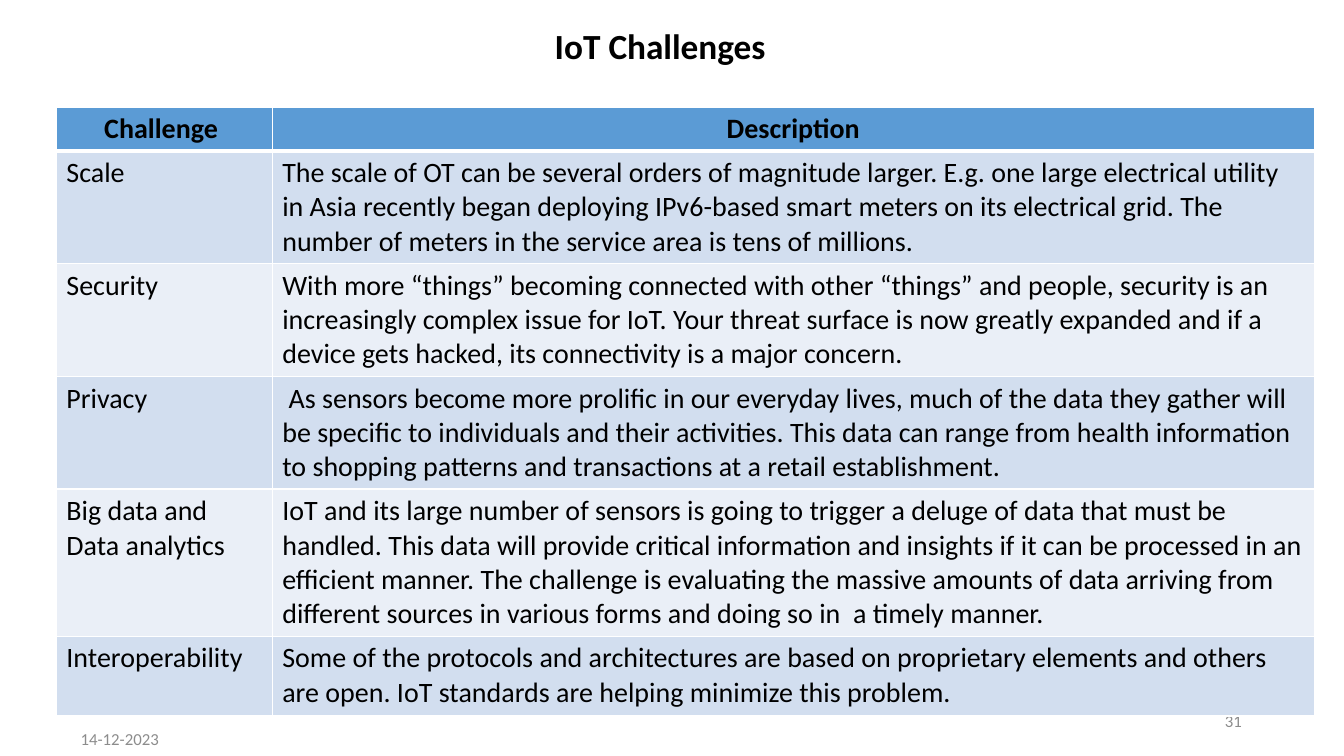
from lxml import etree
from pptx import Presentation
from pptx import util as u
from pptx.dml import color
from pptx.enum import text
from pptx.oxml import ns

COLORS = {
    "ink": "000000",
    "muted": "8C8C8C",
    "header": "5B9BD5",
    "odd": "D2DEEF",
    "even": "EAEFF7",
    "border": "FFFFFF",
}

CHALLENGES = [
    ("Challenge ", "Description"),
    ("Scale",
     "The scale of OT can be several orders of magnitude larger. E.g. one large electrical utility "
     "in Asia recently began deploying IPv6-based smart meters on its electrical grid. The number of "
     "meters in the service area is tens of millions."),
    ("Security",
     "With more “things” becoming connected with other “things” and people, security is an "
     "increasingly complex issue for IoT. Your threat surface is now greatly expanded and if a "
     "device gets hacked, its connectivity is a major concern."),
    ("Privacy",
     " As sensors become more prolific in our everyday lives, much of the data they gather will be "
     "specific to individuals and their activities. This data can range from health information to "
     "shopping patterns and transactions at a retail establishment."),
    ("Big data and Data analytics",
     "IoT and its large number of sensors is going to trigger a deluge of data that must be handled. "
     "This data will provide critical information and insights if it can be processed in an efficient "
     "manner. The challenge is evaluating the massive amounts of data arriving from different sources "
     "in various forms and doing so in  a timely manner."),
    ("Interoperability",
     "Some of the protocols and architectures are based on proprietary elements and others are open. "
     "IoT standards are helping minimize this problem."),
]
COLUMN_WIDTHS = [5.44, 26.26]
ROW_HEIGHTS = [1.1, 2.84, 2.84, 2.84, 3.71, 2.01]


class SlideBuilder:
    """Draws styled text and tables on the current slide."""

    def __init__(self, page, font_name="Calibri"):
        self.page = page
        self.font_name = font_name

    def fill_text(self, frame, content, size, ink="ink", bold=False,
                  align=text.PP_ALIGN.LEFT, spacing=1.0):
        para = frame.paragraphs[0]
        para.alignment = align
        para.line_spacing = spacing
        span = para.add_run()
        span.text = content
        for name, value in {"name": self.font_name, "size": u.Pt(size), "bold": bold}.items():
            setattr(span.font, name, value)
        span.font.color.rgb = color.RGBColor.from_string(COLORS[ink])

    def label(self, content, place, size, **style):
        box = self.page.shapes.add_textbox(*(u.Cm(length) for length in place))
        frame = box.text_frame
        layout = {
            "word_wrap": True,
            "vertical_anchor": text.MSO_ANCHOR.MIDDLE,
            "margin_top": 0,
            "margin_bottom": 0,
        }
        for name, value in layout.items():
            setattr(frame, name, value)
        self.fill_text(frame, content, size, **style)

    def borders(self, cell, top, bottom):
        properties = cell._tc.get_or_add_tcPr()
        for index, (side, width) in enumerate({"L": 1, "R": 1, "T": top, "B": bottom}.items()):
            line = etree.Element(ns.qn(f"a:ln{side}"), w=str(u.Pt(width)))
            fill = etree.SubElement(line, ns.qn("a:solidFill"))
            etree.SubElement(fill, ns.qn("a:srgbClr"), val=COLORS["border"])
            properties.insert(index, line)

    def table(self, records, left, top, widths, heights, size):
        place = (left, top, sum(widths), sum(heights))
        grid = self.page.shapes.add_table(
            len(records), len(widths), *(u.Cm(length) for length in place)).table
        for column, width in zip(grid.columns, widths):
            column.width = u.Cm(width)
        for index, (row, height, record) in enumerate(zip(grid.rows, heights, records)):
            row.height = u.Cm(height)
            heading = index == 0
            shade = "header" if heading else "odd" if index % 2 else "even"
            align = text.PP_ALIGN.CENTER if heading else text.PP_ALIGN.LEFT
            for cell, content in zip(row.cells, record):
                cell.fill.solid()
                cell.fill.fore_color.rgb = color.RGBColor.from_string(COLORS[shade])
                self.borders(cell, top=3 if index == 1 else 1, bottom=3 if heading else 1)
                self.fill_text(cell.text_frame, content, size, bold=heading, align=align)


def main():
    deck = Presentation()
    deck.slide_width, deck.slide_height = u.Cm(33.87), u.Cm(19.05)
    builder = SlideBuilder(deck.slides.add_slide(deck.slide_layouts[6]))
    builder.label("IoT Challenges ", (1.78, 0.76, 29.92, 0.89), 25.2,
                  bold=True, align=text.PP_ALIGN.CENTER, spacing=0.9)
    builder.label("14-12-2023", (1.78, 18.29, 11.43, 0.64), 12, ink="muted")
    builder.label("31", (23.93, 17.65, 7.62, 1.02), 12, ink="muted", align=text.PP_ALIGN.RIGHT)
    builder.table(CHALLENGES, 1.42, 2.7, COLUMN_WIDTHS, ROW_HEIGHTS, 20)
    deck.save("out.pptx")


if __name__ == "__main__":
    main()
